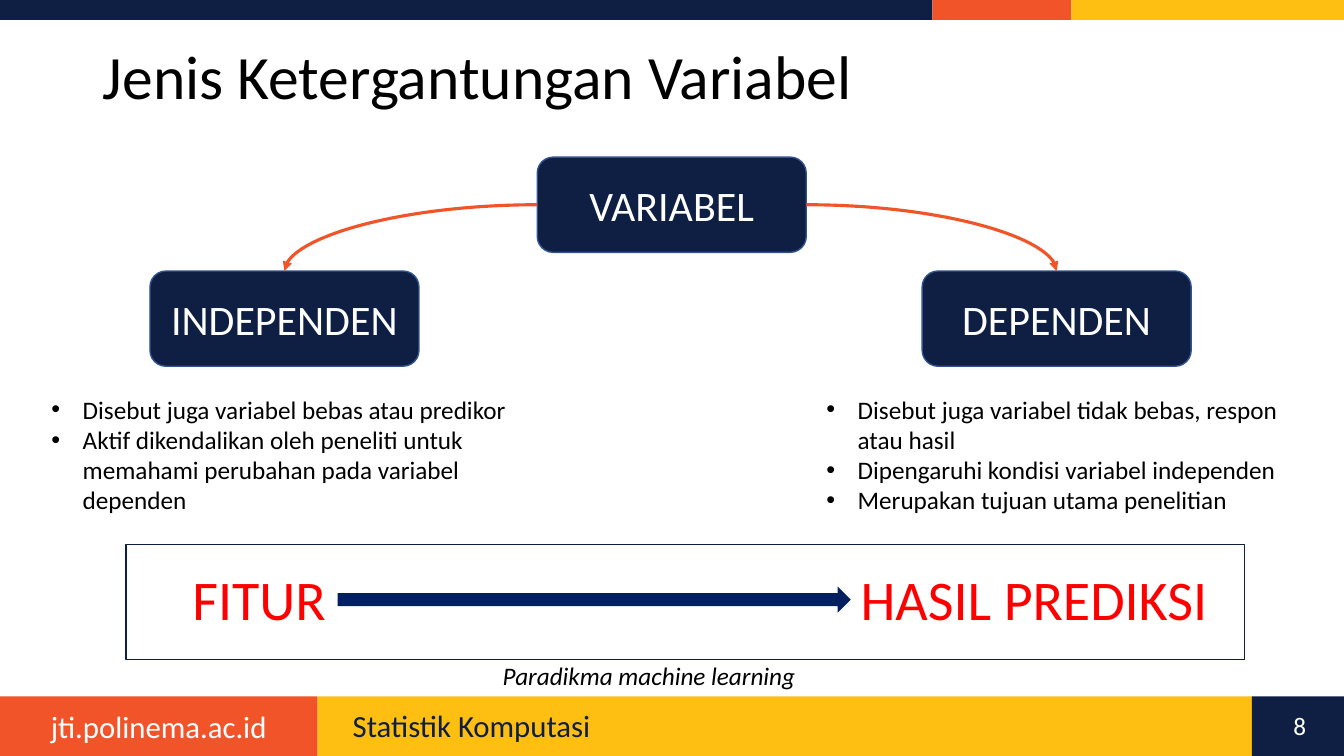
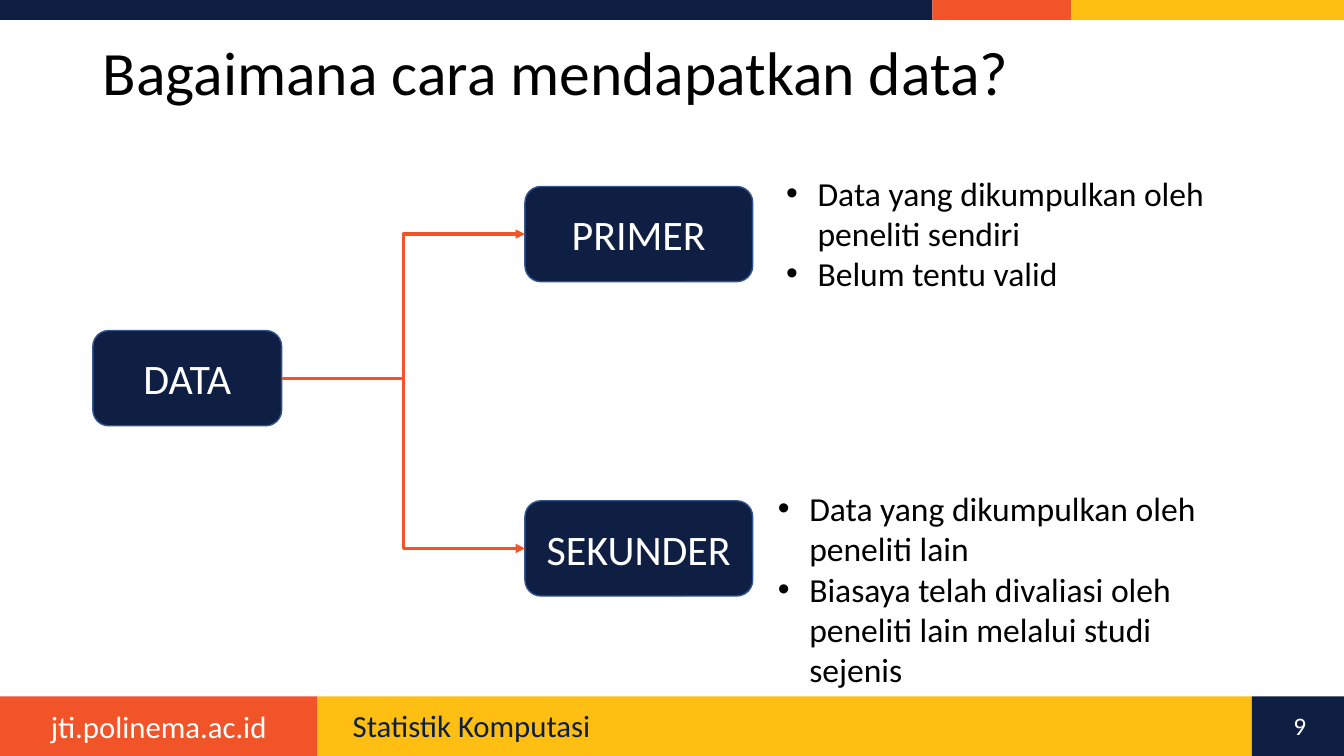
from lxml.etree import SubElement
from pptx import Presentation
from pptx.dml.color import RGBColor
from pptx.enum.shapes import MSO_CONNECTOR, MSO_SHAPE
from pptx.enum.text import MSO_ANCHOR, MSO_AUTO_SIZE, PP_ALIGN
from pptx.oxml.ns import qn
from pptx.util import Cm, Pt

NAVY, ORANGE, YELLOW = "0E1F43", "F15429", "FEBF12"
EDGE, ARROW, RED = "325491", "002060", "FF0000"
WHITE, BLACK = "FFFFFF", "000000"
TOP, LEFT, RIGHT = 0, 1, 3
color = RGBColor.from_string


def write(holder, text, size=18, ink=BLACK, align=PP_ALIGN.LEFT, anchor=MSO_ANCHOR.TOP,
          spacing=1.0, indent=0, italic=False, wrap=True):
    frame = holder.text_frame
    frame.text = text
    frame.word_wrap = wrap
    frame.auto_size = MSO_AUTO_SIZE.NONE
    frame.vertical_anchor = anchor
    for paragraph in frame.paragraphs:
        paragraph.alignment = align
        paragraph.line_spacing = spacing
        paragraph.space_before = Pt(0)
        if indent:
            properties = paragraph._p.get_or_add_pPr()
            properties.set("marL", str(Cm(indent)))
            properties.set("indent", str(-Cm(indent)))
        for run in paragraph.runs:
            run.font.name = "Calibri"
            run.font.size = Pt(size)
            run.font.italic = italic
            run.font.color.rgb = color(ink)


def draw(slide, preset, place, fill=None, line=None):
    shape = slide.shapes.add_shape(preset, *map(Cm, place))
    shape.shadow.inherit = False
    if fill:
        shape.fill.solid()
        shape.fill.fore_color.rgb = color(fill)
    else:
        shape.fill.background()
    if line:
        shape.line.color.rgb = color(line)
        shape.line.width = Pt(1)
    else:
        shape.line.fill.background()
    return shape


topics = [
    {
        "title": "Jenis Ketergantungan Variabel",
        "title_height": 1.96,
        "page": "8",
        "nodes": {
            "INDEPENDEN": (3.78, 6.83, 6.78, 2.4),
            "DEPENDEN": (23.24, 6.83, 6.78, 2.4),
            "VARIABEL": (13.54, 3.96, 6.78, 2.4),
        },
        "links": [("VARIABEL", LEFT, "INDEPENDEN", TOP), ("VARIABEL", RIGHT, "DEPENDEN", TOP)],
        "route": MSO_CONNECTOR.CURVE,
        "route_preset": "curvedConnector2",
        "list_size": 18,
        "lists": [
            ((1.04, 9.8, 12.24, 3.33), [
                "Disebut juga variabel bebas atau predikor",
                "Aktif dikendalikan oleh peneliti untuk memahami perubahan pada variabel dependen",
            ]),
            ((20.57, 9.8, 12.24, 3.33), [
                "Disebut juga variabel tidak bebas, respon atau hasil",
                "Dipengaruhi kondisi variabel independen",
                "Merupakan tujuan utama penelitian",
            ]),
        ],
    },
    {
        "title": "Bagaimana cara mendapatkan data?",
        "title_height": 1.78,
        "page": "9",
        "nodes": {
            "DATA": (2.34, 8.33, 4.76, 2.4),
            "PRIMER": (13.23, 4.7, 5.74, 2.4),
            "SEKUNDER": (13.23, 12.62, 5.74, 2.4),
        },
        "links": [("DATA", RIGHT, "PRIMER", LEFT), ("DATA", RIGHT, "SEKUNDER", LEFT)],
        "route": MSO_CONNECTOR.ELBOW,
        "route_preset": "bentConnector3",
        "list_size": 24,
        "lists": [
            ((19.56, 4.22, 11.1, 3.33), [
                "Data yang dikumpulkan oleh peneliti sendiri",
                "Belum tentu valid",
            ]),
            ((19.35, 12.17, 11.1, 5.38), [
                "Data yang dikumpulkan oleh peneliti lain",
                "Biasaya telah divaliasi oleh peneliti lain melalui studi sejenis",
            ]),
        ],
    },
]

prs = Presentation()
prs.slide_width = Cm(33.87)
prs.slide_height = Cm(19.05)
layout = prs.slide_layouts.get_by_name("Two Content")
slides = [prs.slides.add_slide(layout) for topic in topics]

bands = [
    (0, 0, 23.5, 0.5, NAVY),
    (23.5, 0, 3.5, 0.5, ORANGE),
    (27, 0, 6.87, 0.5, YELLOW),
    (8, 17.55, 23.55, 1.5, YELLOW),
    (0, 17.55, 8, 1.5, ORANGE),
    (31.55, 17.55, 2.32, 1.5, NAVY),
]
shared = [draw(slides[0], MSO_SHAPE.RECTANGLE, place, fill) for *place, fill in bands]
site = slides[0].shapes.add_textbox(Cm(0), Cm(17.7), Cm(8), Cm(1.19))
write(site, "jti.polinema.ac.id", size=22, ink=WHITE, align=PP_ALIGN.CENTER)
course = slides[0].shapes.add_textbox(Cm(8.64), Cm(17.78), Cm(22.2), Cm(1.02))
write(course, "Statistik Komputasi", size=22, ink=NAVY, spacing=0.9)
for number, part in enumerate(shared + [site, course], start=101):
    part.element.xpath("./p:nvSpPr/p:cNvPr")[0].set("id", str(number))
    layout.shapes.element.append(part.element)

for slide, topic in zip(slides, topics):
    title, *bodies = slide.placeholders
    title.left, title.top = Cm(2.34), Cm(1.02)
    title.width, title.height = Cm(26.01), Cm(topic["title_height"])
    write(title, topic["title"], size=44, anchor=MSO_ANCHOR.MIDDLE, spacing=0.9)

    for body, (place, points) in zip(bodies, topic["lists"]):
        body.left, body.top, body.width, body.height = map(Cm, place)
        write(body, "\n".join(points), size=topic["list_size"], indent=0.79)

    page = slide.shapes.add_textbox(Cm(31.98), Cm(17.78), Cm(1.55), Cm(1.02))
    write(page, topic["page"], ink=WHITE, align=PP_ALIGN.CENTER)

    nodes = {}
    for label, place in topic["nodes"].items():
        nodes[label] = draw(slide, MSO_SHAPE.ROUNDED_RECTANGLE, place, NAVY, EDGE)
        write(nodes[label], label, size=30, ink=WHITE, align=PP_ALIGN.CENTER,
              anchor=MSO_ANCHOR.MIDDLE)

    for source, source_side, target, target_side in topic["links"]:
        link = slide.shapes.add_connector(topic["route"], 0, 0, 0, 0)
        link.begin_connect(nodes[source], source_side)
        link.end_connect(nodes[target], target_side)
        link.line.color.rgb = color(ORANGE)
        link.line.width = Pt(2.25)
        properties = link.element.spPr
        properties.find(qn("a:prstGeom")).set("prst", topic["route_preset"])
        SubElement(properties.find(qn("a:ln")), qn("a:tailEnd"), type="triangle")
        SubElement(properties, qn("a:effectLst"))

paradigm = slides[0]
draw(paradigm, MSO_SHAPE.RECTANGLE, (3.18, 13.72, 28.19, 2.9), line=NAVY)
draw(paradigm, MSO_SHAPE.RIGHT_ARROW, (8.51, 14.78, 12.93, 0.66), ARROW)
for wording, place, look in [
    ("FITUR", (4.6, 14.1, 3.91, 1.96), {"size": 40, "ink": RED}),
    ("HASIL PREDIKSI", (21.44, 14.1, 9.35, 1.96), {"size": 40, "ink": RED}),
    ("Paradikma machine learning", (12.42, 16.51, 7.9, 1.02), {"italic": True}),
]:
    write(paradigm.shapes.add_textbox(*map(Cm, place)), wording, wrap=False, **look)

prs.save("out.pptx")
